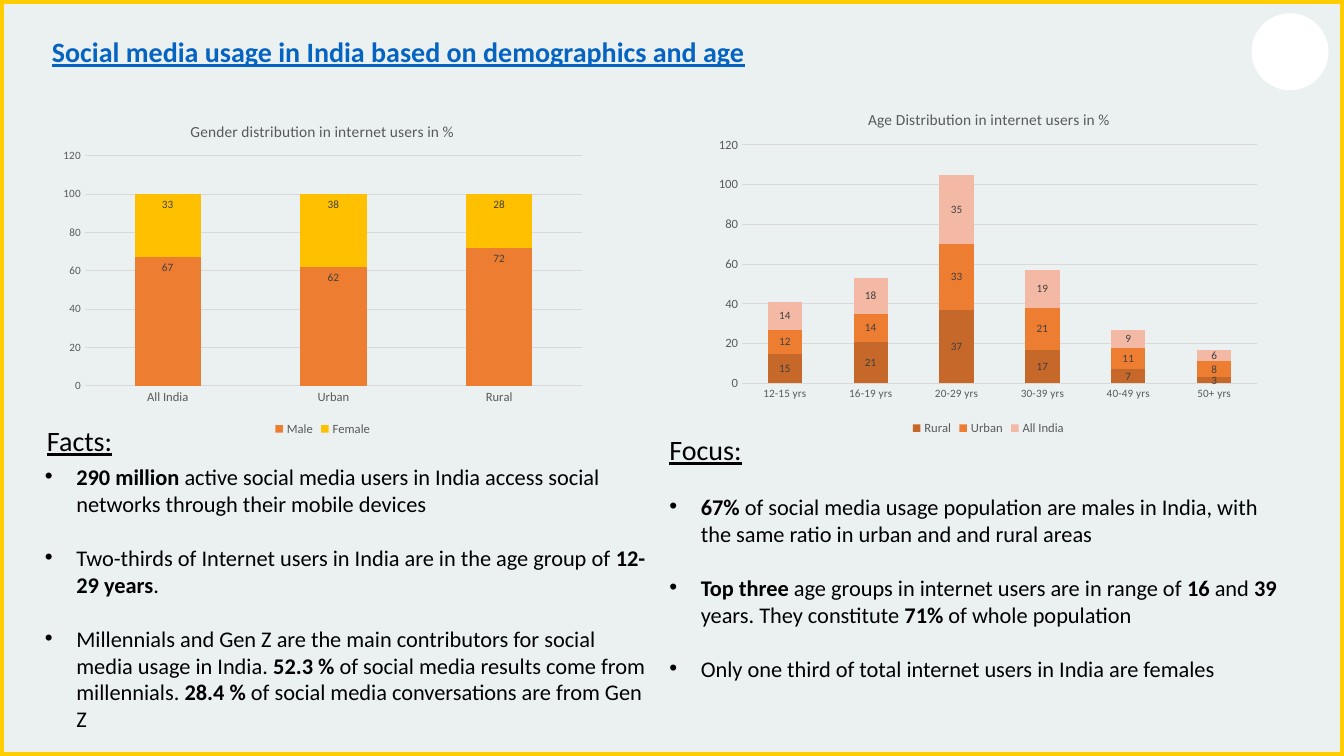
"""Build a slide on social media usage in India with two charts and key points."""
from lxml import etree
from pptx import Presentation
from pptx.chart.data import CategoryChartData
from pptx.dml.color import RGBColor
from pptx.enum.chart import XL_CHART_TYPE, XL_LABEL_POSITION, XL_LEGEND_POSITION, XL_TICK_MARK
from pptx.enum.shapes import MSO_SHAPE
from pptx.enum.text import MSO_AUTO_SIZE
from pptx.oxml.ns import qn
from pptx.util import Pt

STACKED = XL_CHART_TYPE.COLUMN_STACKED
LABEL_INSIDE_END = XL_LABEL_POSITION.INSIDE_END
LABEL_CENTER = XL_LABEL_POSITION.CENTER
LEGEND_BOTTOM = XL_LEGEND_POSITION.BOTTOM
NO_TICKS = XL_TICK_MARK.NONE
RECTANGLE = MSO_SHAPE.RECTANGLE
OVAL = MSO_SHAPE.OVAL
GROW = MSO_AUTO_SIZE.SHAPE_TO_FIT_TEXT

FONT = "Calibri"
WIDTH, HEIGHT = 960, 540
COLORS = {
    "background": "EBF1F1",
    "border": "FFCD00",
    "badge": "FFFFFF",
    "title": "0563C1",
    "text": "000000",
    "chart_text": "595959",
    "label": "404040",
    "grid": "D9D9D9",
    "orange": "ED7D31",
    "gold": "FFC000",
    "brown": "C56829",
    "peach": "F3B9A4",
}
PLOT_LAYOUT = {"layoutTarget": "inner", "xMode": "edge", "yMode": "edge",
               "x": 0.06, "y": 0.16, "w": 0.92, "h": 0.68}

GENDER_CHART = {
    "title": "Gender distribution in internet users in %",
    "title_left": 0.25,
    "categories": ["All India", "Urban", "Rural"],
    "series": [("Male", [67, 62, 72], "orange"), ("Female", [33, 38, 28], "gold")],
    "label_position": LABEL_INSIDE_END,
    "category_size": 9,
    "value_size": 8,
}
AGE_CHART = {
    "title": "Age Distribution in internet users in %",
    "title_left": 0.28,
    "categories": ["12-15 yrs", "16-19 yrs", "20-29 yrs", "30-39 yrs", "40-49 yrs", "50+ yrs"],
    "series": [("Rural", [15, 21, 37, 17, 7, 3], "brown"),
               ("Urban", [12, 14, 33, 21, 11, 8], "orange"),
               ("All India", [14, 18, 35, 19, 9, 6], "peach")],
    "label_position": LABEL_CENTER,
    "category_size": 8,
    "value_size": 9,
}
FACTS = [
    "**290 million** active social media users in India access social networks "
    "through their mobile devices",
    "Two-thirds of Internet users in India are in the age group of **12-29 years**.",
    "Millennials and Gen Z are the main contributors for social media usage in India. "
    "**52.3 %** of social media results come from millennials. "
    "**28.4 %** of social media conversations are from Gen Z",
]
FOCUS = [
    "**67%** of social media usage population are males in India, with the same ratio "
    "in urban and and rural areas",
    "**Top three** age groups in internet users are in range of **16** and **39** years. "
    "They constitute **71%** of whole population",
    "Only one third of total internet users in India are females",
]


def color(name):
    """Return a named colour."""
    return RGBColor.from_string(COLORS[name])


def apply(target, **values):
    """Set each given attribute on the target."""
    for name, value in values.items():
        setattr(target, name, value)


def style_font(font, size, color_name, bold=False, underline=False):
    """Set the face, size, colour and emphasis of a font."""
    apply(font, name=FONT, size=Pt(size), bold=bold, underline=underline)
    font.color.rgb = color(color_name)


def paint(fill, color_name):
    """Fill with a solid colour."""
    fill.solid()
    fill.fore_color.rgb = color(color_name)


def add_shape(slide, kind, box, fill=None, line=None, line_width=0):
    """Add a preset shape with an optional fill and outline."""
    shape = slide.shapes.add_shape(kind, *map(Pt, box))
    shape.shadow.inherit = False
    if fill:
        paint(shape.fill, fill)
    else:
        shape.fill.background()
    if line:
        paint(shape.line.fill, line)
        shape.line.width = Pt(line_width)
    else:
        shape.line.fill.background()


def add_text_frame(slide, box, wrap):
    """Add a text box that grows with its text and return its frame."""
    frame = slide.shapes.add_textbox(*map(Pt, box)).text_frame
    apply(frame, word_wrap=wrap, auto_size=GROW)
    return frame


def add_heading(slide, text, box, color_name="text", bold=False, wrap=False):
    """Add an underlined heading."""
    run = add_text_frame(slide, box, wrap).paragraphs[0].add_run()
    run.text = text
    style_font(run.font, 20, color_name, bold, True)


def add_bullets(slide, items, box):
    """Add bulleted paragraphs, with bold between double asterisks."""
    frame = add_text_frame(slide, box, True)
    for index, item in enumerate(items):
        paragraph = frame.add_paragraph() if index else frame.paragraphs[0]
        paragraph.space_before = Pt(19.5 if index else 0)
        properties = paragraph._p.get_or_add_pPr()
        properties.set("marL", str(Pt(22.5)))
        properties.set("indent", str(Pt(-22.5)))
        etree.SubElement(properties, qn("a:buFont"), typeface="Arial")
        etree.SubElement(properties, qn("a:buChar"), char="•")
        for part, text in enumerate(item.split("**")):
            if text:
                run = paragraph.add_run()
                run.text = text
                style_font(run.font, 16, "text", bold=part % 2 == 1)


def set_layout(element, index, values):
    """Place a chart part by fractions of the chart area."""
    for old in element.findall(qn("c:layout")):
        element.remove(old)
    layout = etree.Element(qn("c:layout"))
    manual = etree.SubElement(layout, qn("c:manualLayout"))
    for name, value in values.items():
        etree.SubElement(manual, qn(f"c:{name}"), val=str(value))
    element.insert(index, layout)


def style_axis(axis, size):
    """Set the tick marks and label font of an axis."""
    apply(axis, major_tick_mark=NO_TICKS, minor_tick_mark=NO_TICKS)
    style_font(axis.tick_labels.font, size, "chart_text")


def style_line(line):
    """Make a thin grey chart line."""
    paint(line.fill, "grid")
    line.width = Pt(0.75)


def add_stacked_chart(slide, content, box):
    """Add a stacked column chart with title, legend and value labels."""
    data = CategoryChartData()
    data.categories = content["categories"]
    for name, values, _ in content["series"]:
        data.add_series(name, values)
    chart = slide.shapes.add_chart(STACKED, *map(Pt, box), data).chart
    style_font(chart.font, 10, "text")
    apply(chart, has_title=True, has_legend=True)
    title = chart.chart_title.text_frame
    title.text = content["title"]
    style_font(title.paragraphs[0].runs[0].font, 11, "chart_text")
    apply(chart.legend, position=LEGEND_BOTTOM, include_in_layout=False)
    style_font(chart.legend.font, 9, "chart_text")

    style_axis(chart.category_axis, content["category_size"])
    style_line(chart.category_axis.format.line)
    value_axis = chart.value_axis
    style_axis(value_axis, content["value_size"])
    apply(value_axis, minimum_scale=0, maximum_scale=120, major_unit=20)
    value_axis.format.line.fill.background()
    style_line(value_axis.major_gridlines.format.line)

    plot = chart.plots[0]
    apply(plot, gap_width=150, overlap=100, vary_by_categories=False)
    for series, (_, _, color_name) in zip(plot.series, content["series"]):
        paint(series.format.fill, color_name)
        labels = series.data_labels
        apply(labels, show_value=True, position=content["label_position"])
        style_font(labels.font, 8, "label")

    root = chart.element.find(qn("c:chart"))
    set_layout(root.find(qn("c:plotArea")), 0, PLOT_LAYOUT)
    set_layout(root.find(qn("c:title")), 1,
               {"xMode": "edge", "yMode": "edge", "x": content["title_left"], "y": 0.05})


def main():
    """Build and save the slide."""
    presentation = Presentation()
    apply(presentation, slide_width=Pt(WIDTH), slide_height=Pt(HEIGHT))
    slide = presentation.slides.add_slide(presentation.slide_layouts[6])
    paint(slide.background.fill, "background")
    add_shape(slide, RECTANGLE, (0, 0, WIDTH, HEIGHT), line="border", line_width=6)
    add_heading(slide, "Social media usage in India based on demographics and age",
                (30, 21, 585, 31.5), "title", bold=True, wrap=True)
    add_stacked_chart(slide, GENDER_CHART, (37.5, 72.5, 386, 242))
    add_stacked_chart(slide, AGE_CHART, (506, 63.5, 400, 250.5))
    add_bullets(slide, FACTS, (25, 327, 446, 201))
    add_heading(slide, "Facts:", (26.5, 299, 67, 31.5))
    add_bullets(slide, FOCUS, (471, 348.5, 455, 240))
    add_heading(slide, "Focus:", (471, 305.5, 74, 31.5))
    add_shape(slide, OVAL, (894, 9.5, 55, 55), fill="badge")
    presentation.save("out.pptx")


if __name__ == "__main__":
    main()
